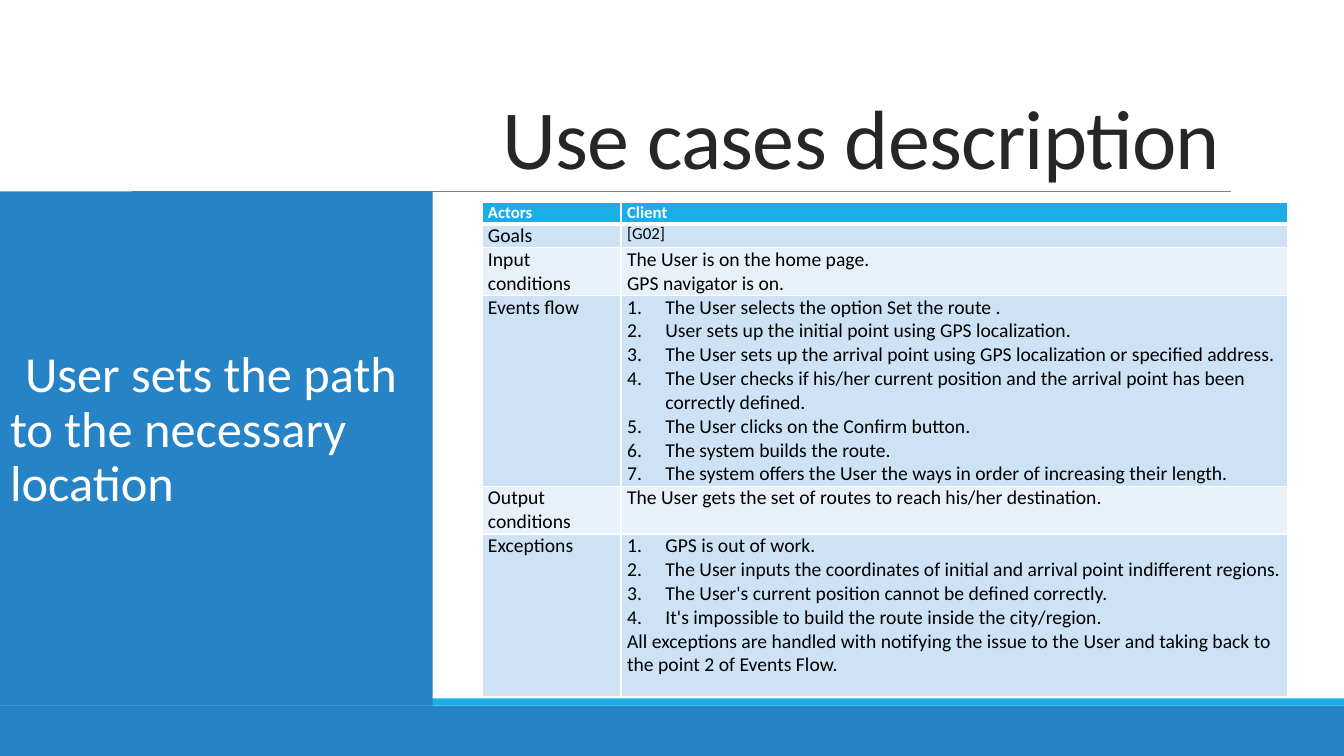
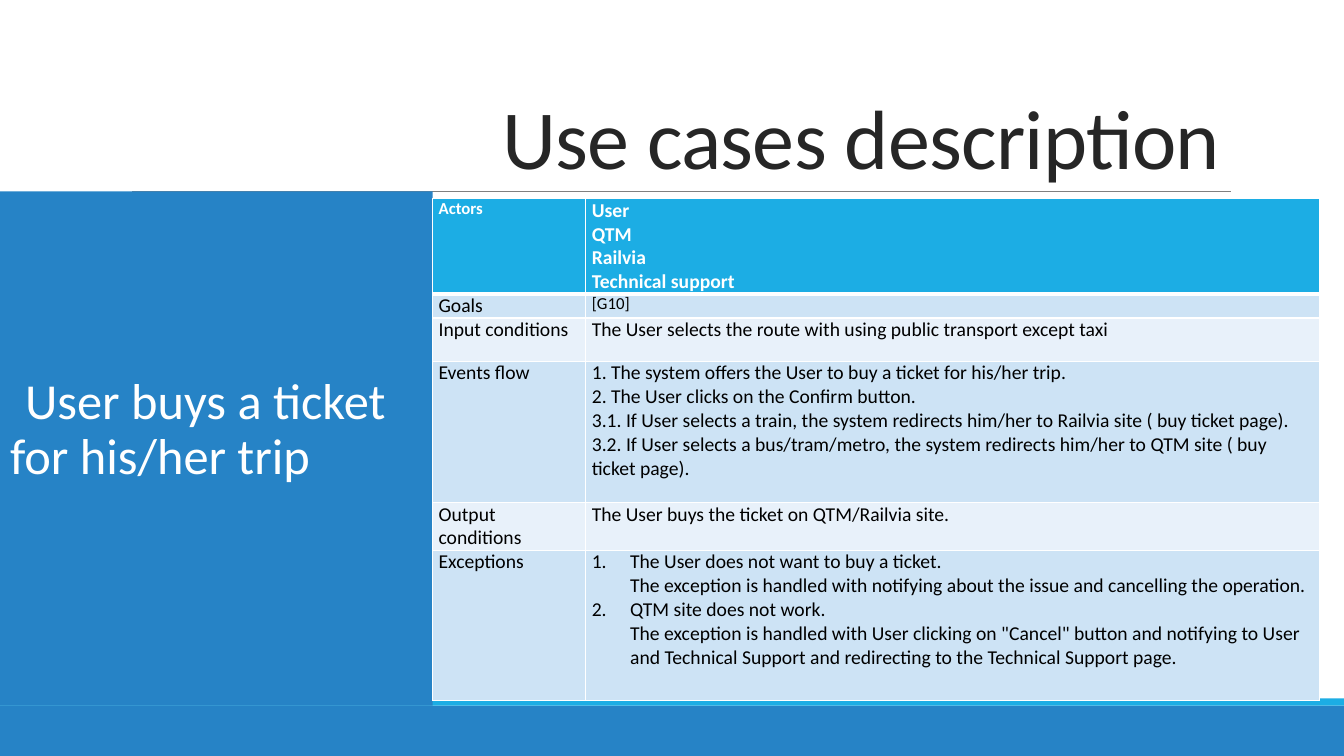
from lxml.etree import SubElement
from pptx import Presentation
from pptx.dml.color import RGBColor
from pptx.enum.shapes import MSO_CONNECTOR, MSO_SHAPE
from pptx.enum.text import MSO_ANCHOR, PP_ALIGN
from pptx.oxml.ns import qn
from pptx.util import Inches, Pt

BLUE = RGBColor(0x26, 0x83, 0xC6)
CYAN = RGBColor(0x1C, 0xAD, 0xE4)
ROW_DARK = RGBColor(0xCD, 0xE3, 0xF5)
ROW_LIGHT = RGBColor(0xE8, 0xF1, 0xFA)
GRAY = RGBColor(0x80, 0x80, 0x80)
INK = RGBColor(0x26, 0x26, 0x26)
BLACK = RGBColor(0, 0, 0)
WHITE = RGBColor(0xFF, 0xFF, 0xFF)
FONT = "Calibri"
TITLE = "Use cases description"

# Each row: height, label, value size, numbered lines, plain lines
SLIDES = [
    {
        "heading": "User sets the path to the necessary location",
        "at": (4.78, 2.01),
        "cols": (1.38, 6.61),
        "rows": [
            (0.21, "Actors", 12, [], ["Client"]),
            (0.23, "Goals", 12, [], ["[G02]"]),
            (0.45, "Input conditions", 14, [],
             ["The User is on the home page.", "GPS navigator is on."]),
            (1.81, "Events flow", 14, [
                "The User selects the option Set the route .",
                "User sets up the initial point using GPS localization.",
                "The User sets up the arrival point using GPS localization or specified address.",
                "The User checks if his/her current position and the arrival point has been "
                "correctly defined.",
                "The User clicks on the Confirm button.",
                "The system builds the route.",
                "The system offers the User the ways in order of increasing their length.",
            ], []),
            (0.45, "Output conditions", 14, [],
             ["The User gets the set of routes to reach his/her destination."]),
            (1.61, "Exceptions", 14, [
                "GPS is out of work.",
                "The User inputs the coordinates of initial and arrival point indifferent regions.",
                "The User's current position cannot be defined correctly.",
                "It's impossible to build the route inside the city/region.",
            ], ["All exceptions are handled with notifying the issue to the User and taking "
                "back to the point 2 of Events Flow."]),
        ],
    },
    {
        "heading": "User buys a ticket for his/her trip",
        "at": (4.29, 1.97),
        "cols": (1.52, 7.28),
        "rows": [
            (0.9, "Actors", 14, [], ["User", "QTM", "Railvia", "Technical support"]),
            (0.23, "Goals", 12, [], ["[G10]"]),
            (0.43, "Input conditions", 14, [],
             ["The User selects the route with using public transport except taxi"]),
            (1.4, "Events flow", 14, [], [
                "1. The system offers the User to buy a ticket for his/her trip.",
                "2. The User clicks on the Confirm button.",
                "3.1. If User selects a train, the system redirects him/her to Railvia site "
                "( buy ticket page).",
                "3.2. If User selects a bus/tram/metro, the system redirects him/her to QTM site "
                "( buy ticket page).",
            ]),
            (0.45, "Output conditions", 14, [],
             ["The User buys the ticket on QTM/Railvia site."]),
            (1.49, "Exceptions", 14, [
                "The User does not want to buy a ticket.\v"
                "The exception is handled with notifying about the issue and cancelling "
                "the operation.",
                "QTM site does not work.\v"
                "The exception is handled with User clicking on \"Cancel\" button and notifying "
                "to User and Technical Support and redirecting to the Technical Support page.",
            ], []),
        ],
    },
]


def set_font(p, size, color, bold=False):
    fmt = {"name": FONT, "size": Pt(size), "bold": bold}
    for r in p.runs:
        for key, value in fmt.items():
            setattr(r.font, key, value)
        r.font.color.rgb = color
    for br in p._p.findall(qn("a:br")):
        SubElement(br, qn("a:rPr"), sz=str(size * 100))


def set_bullet(p, indent, tag, **attrs):
    pPr = p._p.get_or_add_pPr()
    pPr.set("marL", str(Inches(indent)))
    pPr.set("indent", str(-Inches(indent)))
    SubElement(pPr, qn(tag), **attrs)


def add_block(s, left, top, width, height, color):
    sp = s.shapes.add_shape(MSO_SHAPE.RECTANGLE, *map(Inches, (left, top, width, height)))
    sp.shadow.inherit = False
    sp.fill.solid()
    sp.fill.fore_color.rgb = color
    sp.line.fill.background()
    return sp


def set_frame(tf, **fmt):
    for key, value in fmt.items():
        setattr(tf, key, value)


def add_frame(s):
    # Footer bands and title rule
    add_block(s, 0, 7, 13.33, 0.5, BLUE)
    add_block(s, 0, 6.93, 13.33, 0.07, CYAN)
    rule = s.shapes.add_connector(
        MSO_CONNECTOR.STRAIGHT, *map(Inches, (1.31, 1.9, 12.21, 1.9)))
    rule.line.color.rgb = GRAY
    rule.line.width = Pt(0.5)
    SubElement(rule._element.spPr, qn("a:effectLst"))

    # Title
    title = s.shapes.title
    title.left, title.top, title.width, title.height = map(Inches, (1.2, 0.31, 11, 1.59))
    set_frame(title.text_frame, text=TITLE, word_wrap=True, vertical_anchor=MSO_ANCHOR.BOTTOM)
    p = title.text_frame.paragraphs[0]
    p.alignment, p.line_spacing = PP_ALIGN.RIGHT, 0.85
    set_font(p, 60, INK)
    p.runs[0].font._element.set("spc", "-50")


def add_heading(s, text):
    tf = add_block(s, 0, 1.9, 4.29, 5.1, BLUE).text_frame
    set_frame(tf, text=text, word_wrap=True, vertical_anchor=MSO_ANCHOR.MIDDLE,
              margin_left=0, margin_right=0, margin_top=Inches(0.05),
              margin_bottom=Inches(0.4))
    p = tf.paragraphs[0]
    p.alignment, p.line_spacing = PP_ALIGN.LEFT, 0.9
    set_bullet(p, 0.1, "a:buChar", char=" ")
    set_font(p, 36, WHITE)


def set_borders(cell, top, bottom):
    tcPr = cell._tc.get_or_add_tcPr()
    for side, width in (("L", 1), ("R", 1), ("T", top), ("B", bottom)):
        ln = SubElement(tcPr, qn(f"a:ln{side}"), w=str(Pt(width)))
        SubElement(SubElement(ln, qn("a:solidFill")), qn("a:srgbClr"), val=str(WHITE))


def fill_cell(cell, row, size, numbered, plain):
    header = row == 0
    set_borders(cell, 3 if row == 1 else 1, 3 if header else 1)
    cell.fill.solid()
    cell.fill.fore_color.rgb = CYAN if header else ROW_DARK if row % 2 else ROW_LIGHT
    cell.margin_left = cell.margin_right = Inches(0.06)
    cell.margin_top = cell.margin_bottom = 0
    tf = cell.text_frame
    for i, text in enumerate(numbered + plain):
        p = tf.paragraphs[0] if i == 0 else tf.add_paragraph()
        p.text = text
        if i < len(numbered):
            set_bullet(p, 0.38, "a:buAutoNum", type="arabicPeriod")
        set_font(p, size, WHITE if header else BLACK, header)


def add_use_case(s, at, cols, rows):
    size = (sum(cols), sum(row[0] for row in rows))
    table = s.shapes.add_table(len(rows), len(cols), *map(Inches, at + size)).table
    for col, width in zip(table.columns, cols):
        col.width = Inches(width)
    for i, (height, label, value_size, numbered, plain) in enumerate(rows):
        table.rows[i].height = Inches(height)
        fill_cell(table.cell(i, 0), i, 14 if i else 12, [], [label])
        fill_cell(table.cell(i, 1), i, value_size, numbered, plain)


def main():
    prs = Presentation()
    prs.slide_width, prs.slide_height = Inches(13.33), Inches(7.5)
    for item in SLIDES:
        s = prs.slides.add_slide(prs.slide_layouts[5])
        add_frame(s)
        add_heading(s, item["heading"])
        add_use_case(s, item["at"], item["cols"], item["rows"])
    prs.save("out.pptx")


if __name__ == "__main__":
    main()
